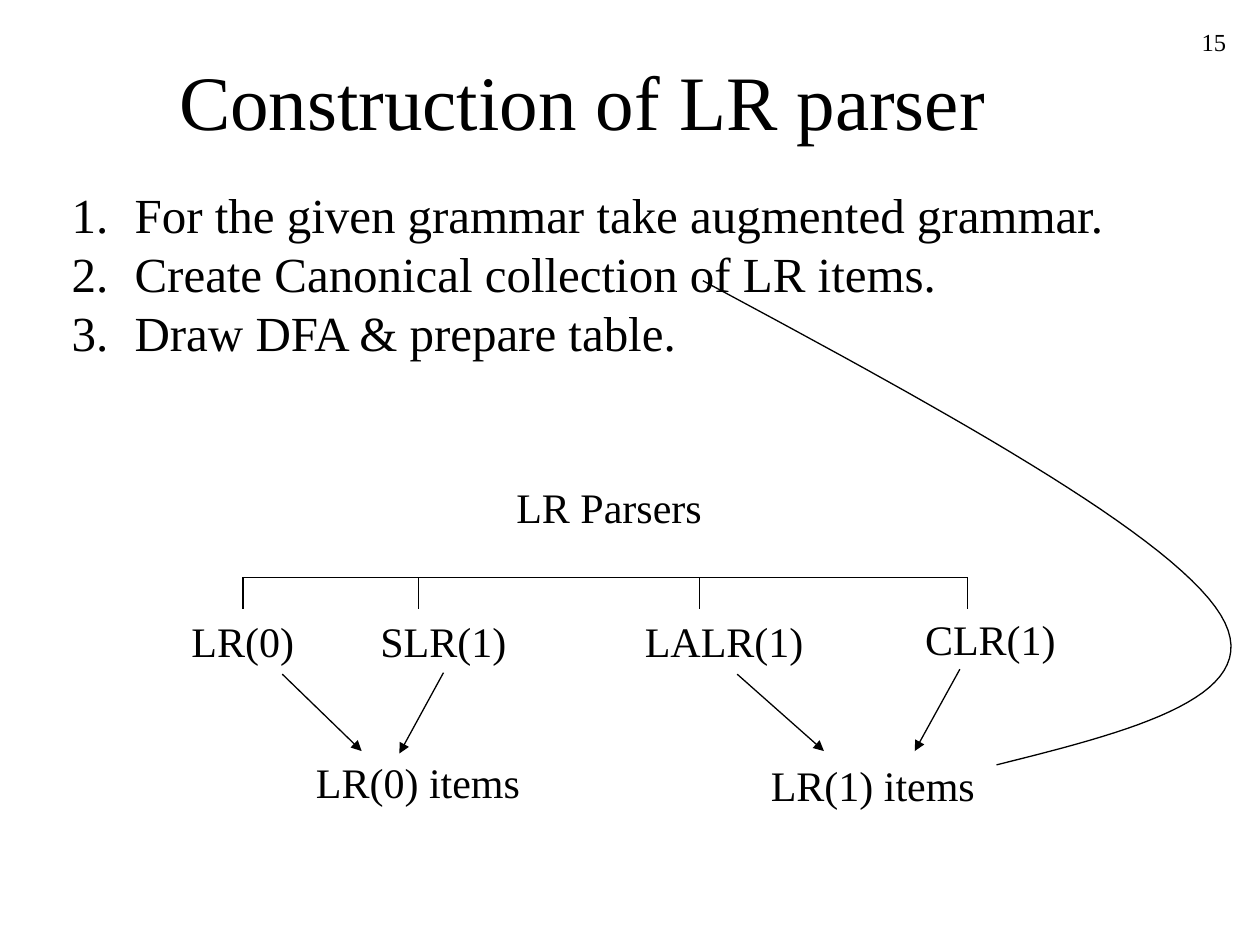
from lxml.etree import SubElement
from pptx import Presentation
from pptx.dml.color import RGBColor
from pptx.enum.shapes import MSO_CONNECTOR
from pptx.enum.text import MSO_ANCHOR, MSO_AUTO_SIZE, PP_ALIGN
from pptx.oxml.ns import qn
from pptx.util import Cm, Pt

BLACK = RGBColor(0x00, 0x00, 0x00)


class SlideBuilder:
    font_name = "Times New Roman"
    line_width = Pt(0.75)

    def __init__(self, slide):
        self.slide = slide

    def style_text(self, paragraph, size, alignment=PP_ALIGN.LEFT):
        paragraph.alignment = alignment
        paragraph.font.name = self.font_name
        paragraph.font.size = Pt(size)
        paragraph.font.color.rgb = BLACK

    def style_line(self, line):
        line.color.rgb = BLACK
        line.width = self.line_width

    def place(self, shape, left, top, width, height):
        shape.left, shape.top = Cm(left), Cm(top)
        shape.width, shape.height = Cm(width), Cm(height)

    def title(self, text, *bounds):
        shape = self.slide.shapes.title
        self.place(shape, *bounds)
        frame = shape.text_frame
        frame.text = text
        frame.auto_size = MSO_AUTO_SIZE.NONE
        frame.vertical_anchor = MSO_ANCHOR.MIDDLE
        self.style_text(frame.paragraphs[0], 44, PP_ALIGN.CENTER)

    def numbered_list(self, items, *bounds):
        shape = self.slide.placeholders[1]
        self.place(shape, *bounds)
        frame = shape.text_frame
        frame.text = "\n".join(items)
        frame.auto_size = MSO_AUTO_SIZE.NONE
        frame.word_wrap = False
        frame.vertical_anchor = MSO_ANCHOR.TOP
        for paragraph in frame.paragraphs:
            paragraph.line_spacing = 1.0
            paragraph.space_before = Pt(0)
            properties = paragraph._p.get_or_add_pPr()
            properties.set("marL", str(Cm(1.27)))
            properties.set("indent", str(Cm(-1.27)))
            SubElement(properties, qn("a:buFont"), typeface="+mj-lt")
            SubElement(properties, qn("a:buAutoNum"), type="arabicPeriod")
            self.style_text(paragraph, 28)

    def label(self, text, left, top, width, size=24, alignment=PP_ALIGN.LEFT):
        shape = self.slide.shapes.add_textbox(Cm(left), Cm(top), Cm(width), Cm(1.27))
        frame = shape.text_frame
        frame.text = text
        frame.word_wrap = alignment == PP_ALIGN.RIGHT
        self.style_text(frame.paragraphs[0], size, alignment)

    def line(self, start, end, arrow=False):
        points = [Cm(value) for value in (*start, *end)]
        connector = self.slide.shapes.add_connector(MSO_CONNECTOR.STRAIGHT, *points)
        self.style_line(connector.line)
        if arrow:
            SubElement(connector.line._get_or_add_ln(), qn("a:tailEnd"), type="triangle")
        SubElement(connector._element.spPr, qn("a:effectLst"))

    def curve(self, start, segments, steps=30):
        points = []
        origin = start
        for first, second, end in segments:
            for step in range(1, steps + 1):
                t = step / steps
                u = 1 - t
                points.append([
                    Cm(u**3 * a + 3 * u * u * t * b + 3 * u * t * t * c + t**3 * d)
                    for a, b, c, d in zip(origin, first, second, end)
                ])
            origin = end
        builder = self.slide.shapes.build_freeform(Cm(start[0]), Cm(start[1]))
        builder.add_line_segments(points, close=False)
        shape = builder.convert_to_shape()
        shape.shadow.inherit = False
        shape.fill.background()
        self.style_line(shape.line)


def main():
    presentation = Presentation()
    presentation.slide_width, presentation.slide_height = Cm(25.4), Cm(19.05)
    slide = presentation.slides.add_slide(presentation.slide_layouts[1])
    builder = SlideBuilder(slide)

    builder.label("15", 19.69, 0.42, 5.28, 14, PP_ALIGN.RIGHT)
    builder.title("Construction of LR parser", 1.9, 1.48, 19.69, 1.06)
    builder.numbered_list(
        [
            "For the given grammar take augmented grammar.",
            "Create Canonical collection of LR items.",
            "Draw DFA & prepare table.",
        ],
        1.19, 3.6, 21.36, 3.81,
    )

    for text, left, top, width in (
        ("LR Parsers", 10.16, 9.58, 4.3),
        ("LR(0)", 3.61, 12.28, 2.65),
        ("SLR(1)", 7.42, 12.28, 3.15),
        ("LALR(1)", 12.75, 12.28, 3.8),
        ("CLR(1)", 18.4, 12.24, 3.3),
        ("LR(0) items", 6.12, 15.13, 4.7),
        ("LR(1) items", 15.29, 15.19, 4.7),
    ):
        builder.label(text, left, top, width)

    branches = (4.9, 8.44, 14.1, 19.5)
    bar_top, branch_bottom = 11.64, 12.28
    builder.line((branches[0], bar_top), (branches[-1], bar_top))
    for branch in branches:
        builder.line((branch, bar_top), (branch, branch_bottom))

    for start, end in (
        ((8.94, 13.56), (8.05, 15.19)),
        ((5.69, 13.59), (7.29, 15.14)),
        ((19.35, 13.49), (18.44, 15.14)),
        ((14.86, 13.59), (16.61, 15.14)),
    ):
        builder.line(start, end, arrow=True)

    builder.curve(
        (14.17, 5.66),
        (
            ((18.9, 8.2), (23.62, 10.77), (24.61, 12.4)),
            ((25.6, 14.02), (22.86, 14.73), (20.09, 15.42)),
        ),
    )
    presentation.save("out.pptx")


if __name__ == "__main__":
    main()
